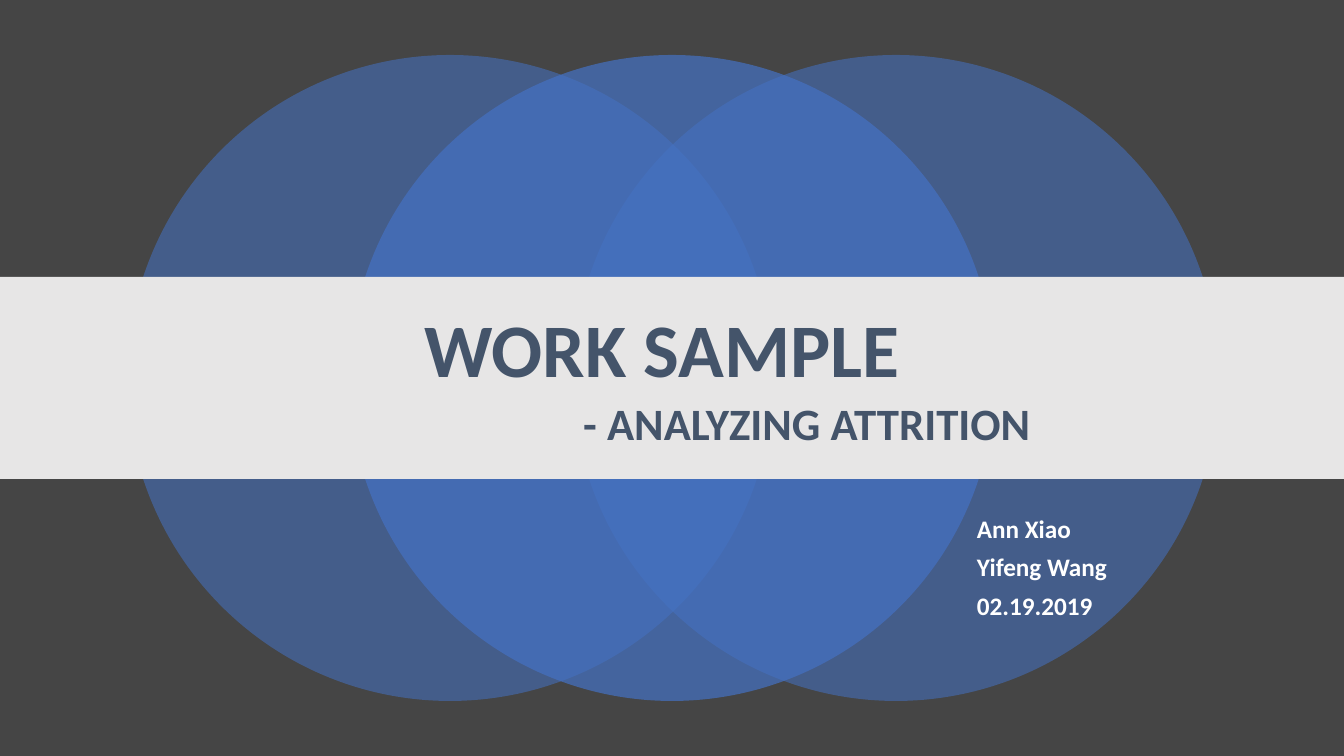
from dataclasses import dataclass

from lxml import etree
from pptx import Presentation, util as u
from pptx.dml.color import RGBColor
from pptx.enum import shapes, text
from pptx.oxml import ns

SCALE = 914400 / 100.8  # EMU per px
FONT = "Calibri"
COLORS = {
    "background": "454545",
    "circle": "4472C4",
    "band": "E7E6E6",
    "title": "44546A",
    "byline": "FFFFFF",
}


@dataclass
class Circle:
    left: int
    opacity: int  # percent


@dataclass
class TitleLine:
    words: str
    size: int
    before: int  # pt
    indent: dict[str, int]  # paragraph margin in px


CIRCLE_TOP, CIRCLE_SIZE = 55, 646
CIRCLES = [Circle(127, 55), Circle(573, 55), Circle(349, 70)]
TITLE_LINES = [
    TitleLine("WORK SAMPLE", 54, 0, {"marR": 20}),
    TitleLine("- ANALYZING ATTRITION", 32, 6, {"marL": 290}),
]
BYLINE = ["Ann Xiao", "Yifeng Wang", "02.19.2019"]


def px(n: int) -> u.Emu:
    return u.Emu(round(n * SCALE))


def color(name: str) -> RGBColor:
    return RGBColor.from_string(COLORS[name])


def paint(sp, name: str) -> None:
    sp.shadow.inherit = False
    sp.fill.solid()
    sp.fill.fore_color.rgb = color(name)
    sp.line.fill.background()


def add_circle(group, circle: Circle) -> None:
    sp = group.shapes.add_shape(shapes.MSO_SHAPE.OVAL, px(circle.left), px(CIRCLE_TOP),
                                px(CIRCLE_SIZE), px(CIRCLE_SIZE))
    paint(sp, "circle")
    clr = sp.fill._xPr.find(".//" + ns.qn("a:srgbClr"))
    etree.SubElement(clr, ns.qn("a:alpha"), val=str(circle.opacity * 1000))


def add_bold_run(p, words: str, size: int, name: str) -> None:
    r = p.add_run()
    r.text = words
    r.font.name = FONT
    r.font.size = u.Pt(size)
    r.font.bold = True
    r.font.color.rgb = color(name)


def next_paragraph(tf, index: int):
    return tf.add_paragraph() if index else tf.paragraphs[0]


def build_title(s) -> None:
    sp = s.shapes.title
    sp.left, sp.top, sp.width, sp.height = px(168), px(305), px(1008), px(152)
    tf = sp.text_frame
    tf.word_wrap = True
    tf.auto_size = text.MSO_AUTO_SIZE.NONE
    tf.vertical_anchor = text.MSO_ANCHOR.MIDDLE
    for i, line in enumerate(TITLE_LINES):
        p = next_paragraph(tf, i)
        p.alignment = text.PP_ALIGN.CENTER
        p.line_spacing = 0.9
        p.space_before = u.Pt(line.before)
        for side, margin in line.indent.items():
            p._p.get_or_add_pPr().set(side, str(px(margin)))
        add_bold_run(p, line.words, line.size, "title")
    # Bring the title in front of the band
    s.shapes._spTree.append(sp._element)


def build_byline(s) -> None:
    tf = s.shapes.add_textbox(px(967), px(508), px(175), px(113)).text_frame
    tf.word_wrap = True
    for i, words in enumerate(BYLINE):
        p = next_paragraph(tf, i)
        p.space_after = u.Pt(6)
        add_bold_run(p, words, 18, "byline")


def main() -> None:
    prs = Presentation()
    prs.slide_width, prs.slide_height = px(1344), px(756)
    s = prs.slides.add_slide(prs.slide_layouts[5])
    s.background.fill.solid()
    s.background.fill.fore_color.rgb = color("background")

    # Overlapping circles
    group = s.shapes.add_group_shape()
    for circle in CIRCLES:
        add_circle(group, circle)

    # Authors and date
    build_byline(s)

    # Title band
    band = s.shapes.add_shape(shapes.MSO_SHAPE.RECTANGLE, 0, px(277), px(1344), px(202))
    paint(band, "band")
    build_title(s)

    prs.save("out.pptx")


if __name__ == "__main__":
    main()
